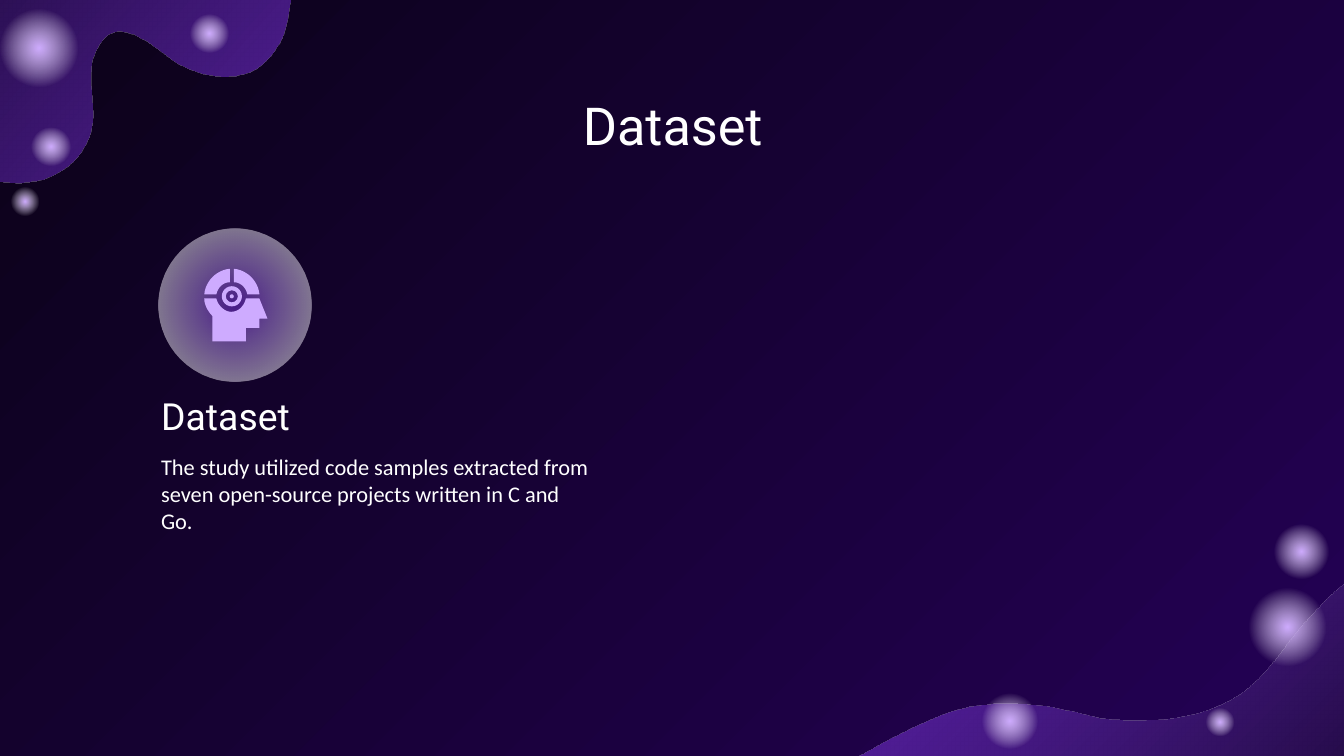
from lxml.etree import SubElement
from pptx import Presentation
from pptx.dml.color import RGBColor
from pptx.enum.shapes import MSO_SHAPE as Preset
from pptx.enum.text import MSO_ANCHOR as Anchor, PP_ALIGN as Align
from pptx.oxml.ns import qn
from pptx.util import Cm, Pt

COLORS = {
    "night": "0B0218",
    "indigo": "240155",
    "violet": "8134EC",
    "lilac": "CEABFF",
    "white": "FFFFFF",
}
UNIT = 2.54      # centimetres per layout unit
CURVE_STEPS = 12

# Gradient stops: position %, colour, opacity %
BACKDROP = [(0, "night", 100), (100, "indigo", 100)]
WAVE = [(0, "night", 100), (100, "violet", 70)]
GLOW = [(0, "lilac", 100), (57, "white", 0), (100, "white", 0)]
BADGE = [(0, "violet", 49), (77, "white", 49), (100, "white", 49)]

# Outlines: a pair is a line end, six numbers are a Bezier segment
BOTTOM_WAVE = [
    (10.32, 4.13), (10.02, 4.28, 9.85, 4.46, 9.65, 4.69),
    (9.49, 4.89, 9.36, 5.11, 9.1, 5.23), (8.83, 5.36, 8.41, 5.39, 8.1, 5.32),
    (7.77, 5.23, 7.37, 5.18, 7.04, 5.3), (6.7, 5.43, 6.39, 5.62, 6.09, 5.79),
    (5.89, 5.91, 5.7, 6.03, 5.53, 6.17), (11.39, 6.17), (11.4, 3.93),
    (11.33, 3.91, 11.26, 3.9, 11.18, 3.9),
    (10.88, 3.9, 10.55, 4.02, 10.32, 4.13),
]
TOP_WAVE = [
    (-0.75, 1.45), (-0.68, 1.4, -0.59, 1.34, -0.51, 1.32),
    (-0.38, 1.29, -0.25, 1.31, -0.12, 1.33),
    (-0.02, 1.35, 0.07, 1.36, 0.16, 1.36),
    (0.39, 1.35, 0.58, 1.23, 0.66, 1.02), (0.75, 0.8, 0.6, 0.56, 0.73, 0.34),
    (0.87, 0.1, 1.12, 0.33, 1.27, 0.44), (1.44, 0.56, 1.72, 0.63, 1.91, 0.51),
    (2, 0.45, 2.07, 0.35, 2.11, 0.25), (2.15, 0.13, 2.15, 0.01, 2.18, -0.1),
    (2.21, -0.2, 2.28, -0.33, 2.38, -0.38),
    (2.49, -0.43, 2.61, -0.44, 2.73, -0.46),
    (3.2, -0.56, 3.64, -0.87, 3.81, -1.33),
    (3.83, -1.39, 3.85, -1.48, 3.84, -1.54), (-1.21, -1.31), (-1, 1.77),
    (-0.97, 1.66, -0.83, 1.52, -0.75, 1.45),
]
FACE = [
    (1.93, 2.22), (1.83, 2.22), (1.82, 2.27, 1.78, 2.32, 1.72, 2.32),
    (1.67, 2.32, 1.62, 2.27, 1.61, 2.22), (1.52, 2.22),
    (1.52, 2.27, 1.55, 2.32, 1.58, 2.35), (1.58, 2.54), (1.83, 2.54),
    (1.83, 2.44), (1.93, 2.44), (1.93, 2.37), (1.99, 2.37),
]
SKULL_QUARTER = [
    (1.61, 2.19), (1.62, 2.14, 1.66, 2.1, 1.71, 2.1), (1.71, 2),
    (1.61, 2.01, 1.53, 2.09, 1.52, 2.19),
]
SKULL_AXIS = 1.725

# Glowing dots: left, top, diameter
DOTS = [
    (0.2, 0.91, 0.36), (0.06, 1.37, 0.26), (1.38, 0.07, 0.36), (-0.07, 0, 0.72),
    (9.22, 4.31, 0.72), (9.43, 3.85, 0.51), (7.26, 5.11, 0.51), (8.95, 5.24, 0.26),
]


def length(units):
    return Cm(units * UNIT)


def rgb(name):
    return RGBColor.from_string(COLORS[name])


def paint_gradient(owner, fill, stops, angle=None):
    """Linear gradient at a clockwise angle, or radial when there is none."""
    fill.gradient()
    gradient = owner._element.find(".//" + qn("a:gradFill"))
    gradient.clear()
    gradient.set("rotWithShape", "1")
    stop_list = SubElement(gradient, qn("a:gsLst"))
    for position, color, opacity in stops:
        stop = SubElement(stop_list, qn("a:gs"), pos=str(position * 1000))
        value = SubElement(stop, qn("a:srgbClr"), val=COLORS[color])
        if opacity < 100:
            SubElement(value, qn("a:alpha"), val=str(opacity * 1000))
    if angle is None:
        radial = SubElement(gradient, qn("a:path"), path="circle")
        SubElement(radial, qn("a:fillToRect"), dict.fromkeys("ltrb", "50000"))
    else:
        SubElement(gradient, qn("a:lin"), ang=str(angle * 60000), scaled="0")


def paint(shape, fill, angle=None):
    """Fill with a colour name or a list of gradient stops, without line."""
    shape.shadow.inherit = False
    shape.line.fill.background()
    if isinstance(fill, str):
        shape.fill.solid()
        shape.fill.fore_color.rgb = rgb(fill)
    else:
        paint_gradient(shape, shape.fill, fill, angle)


def flatten(outline):
    """Turn lines and Bezier segments into a list of points."""
    points = [outline[0]]
    for segment in outline[1:]:
        if len(segment) == 2:
            points.append(segment)
            continue
        corners = [points[-1], segment[:2], segment[2:4], segment[4:]]
        for step in range(1, CURVE_STEPS + 1):
            t = step / CURVE_STEPS
            weights = ((1 - t) ** 3, 3 * t * (1 - t) ** 2, 3 * t * t * (1 - t), t ** 3)
            points.append(tuple(
                sum(w * corner[axis] for w, corner in zip(weights, corners))
                for axis in (0, 1)))
    return points


def add_outline(shapes, outline, fill, angle=None):
    points = [(length(x), length(y)) for x, y in flatten(outline)]
    builder = shapes.build_freeform(*points[0])
    builder.add_line_segments(points[1:], close=True)
    paint(builder.convert_to_shape(), fill, angle)


def add_round(shapes, left, top, diameter, fill, preset=Preset.OVAL):
    size = length(diameter)
    disc = shapes.add_shape(preset, length(left), length(top), size, size)
    paint(disc, fill)
    return disc


def add_head_icon(shapes):
    icon = shapes.add_group_shape().shapes
    ring = add_round(icon, 1.65, 2.13, 0.15, "lilac", Preset.DONUT)
    ring.adjustments[0] = 0.2
    add_round(icon, 1.71, 2.19, 0.03, "lilac")
    add_outline(icon, FACE, "lilac")
    mirrored = [
        tuple(2 * SKULL_AXIS - v if i % 2 == 0 else v for i, v in enumerate(segment))
        for segment in SKULL_QUARTER]
    for quarter in (SKULL_QUARTER, mirrored):
        add_outline(icon, quarter, "lilac")


def write(frame, text, size, font, align=Align.LEFT, anchor=Anchor.TOP):
    frame.word_wrap = True
    frame.vertical_anchor = anchor
    frame.margin_left = frame.margin_right = length(0.1)
    frame.margin_top = frame.margin_bottom = length(0.1)
    paragraph = frame.paragraphs[0]
    paragraph.alignment = align
    run = paragraph.add_run()
    run.text = text
    run.font.size = Pt(size)
    run.font.name = font
    run.font.color.rgb = rgb("white")


def add_text(shapes, box, *content, **layout):
    write(shapes.add_textbox(*map(length, box)).text_frame, *content, **layout)


def main():
    deck = Presentation()
    deck.slide_width, deck.slide_height = length(10), length(5.625)
    slide = deck.slides.add_slide(deck.slide_layouts[5])
    shapes = slide.shapes

    # Backdrop with waves and glowing dots
    paint_gradient(slide, slide.background.fill, BACKDROP, 45)
    add_outline(shapes, BOTTOM_WAVE, WAVE, 225)
    add_outline(shapes, TOP_WAVE, WAVE, 42)
    for dot in DOTS:
        add_round(shapes, *dot, GLOW)

    # Title
    title = shapes.title
    title.left, title.top, title.width, title.height = map(
        length, (0.79, 0.59, 8.43, 0.63))
    write(title.text_frame, "Dataset", 28, "Roboto", align=Align.CENTER)

    # Dataset description
    add_text(shapes, (1.1, 3.27, 3.39, 1.44),
             "The study utilized code samples extracted from seven "
             "open-source projects written in C and Go.", 12, "Calibri")
    add_text(shapes, (1.1, 2.92, 3.39, 0.44), "Dataset", 20, "Roboto",
             anchor=Anchor.BOTTOM)

    # Badge with head icon
    add_round(shapes, 1.18, 1.7, 1.14, BADGE)
    add_head_icon(shapes)

    deck.save("out.pptx")


if __name__ == "__main__":
    main()
